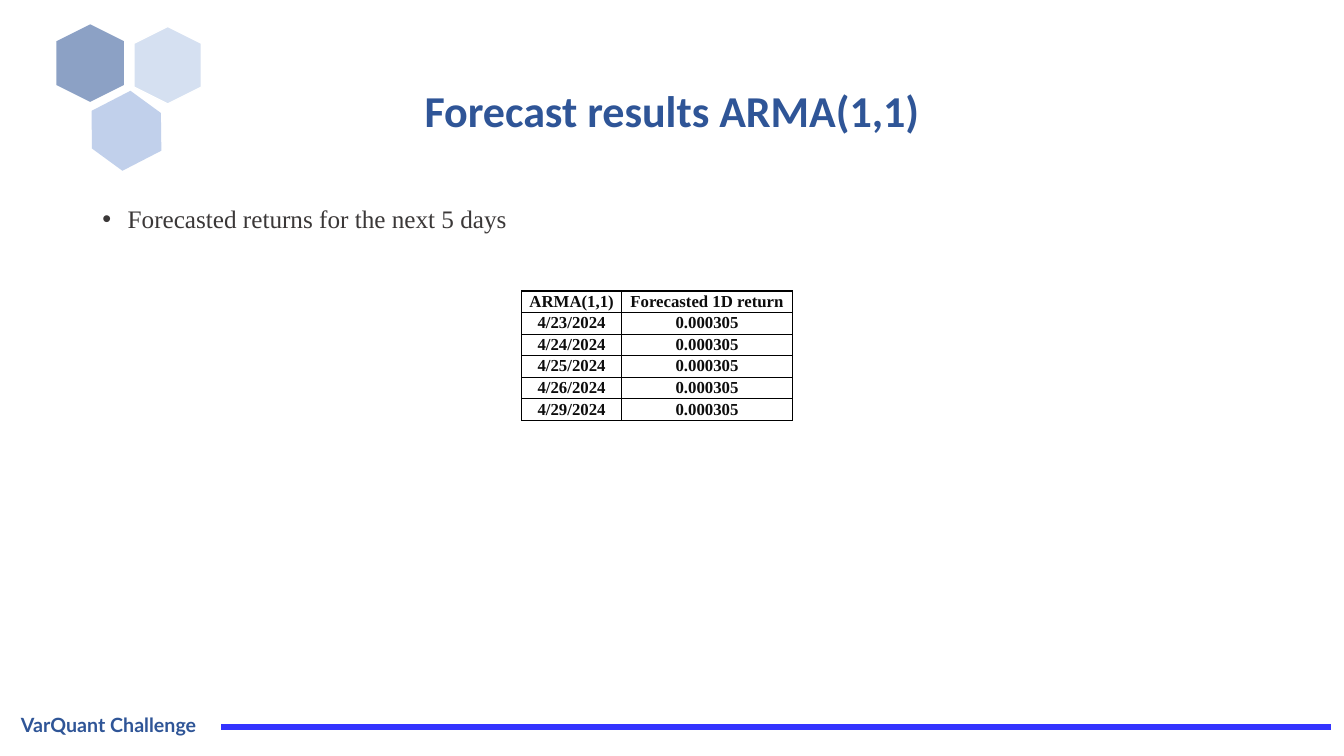
from dataclasses import dataclass

from lxml import etree
from pptx import Presentation
from pptx.dml.color import RGBColor
from pptx.enum.shapes import MSO_SHAPE
from pptx.enum.text import MSO_ANCHOR, MSO_AUTO_SIZE, PP_ALIGN
from pptx.oxml.ns import qn
from pptx.util import Pt

HEXAGON = MSO_SHAPE.HEXAGON
BAR = MSO_SHAPE.FLOWCHART_PROCESS
MIDDLE, TOP = MSO_ANCHOR.MIDDLE, MSO_ANCHOR.TOP
LEFT, CENTER = PP_ALIGN.LEFT, PP_ALIGN.CENTER
NO_AUTOFIT, GROW = MSO_AUTO_SIZE.NONE, MSO_AUTO_SIZE.SHAPE_TO_FIT_TEXT


@dataclass(frozen=True)
class Theme:
    navy: str = "2F5597"
    mid_blue: str = "8FAADC"
    pale_blue: str = "B4C7E7"
    bar_blue: str = "3333FF"
    body_gray: str = "3B3838"
    table_ink: str = "0D0D0D"
    border: str = "000000"
    white: str = "FFFFFF"
    title_font: str = "Calibri"
    body_font: str = "Times New Roman"
    label_font: str = "Lato"
    title_size: float = 31.5
    body_size: float = 18
    label_size: float = 14
    table_size: float = 12


def write_text(text_frame, text, *, font, size, color, bold=False,
               align=LEFT, line_spacing=1.0, before=0, after=0):
    """Put one formatted paragraph in a text frame and return it."""
    paragraph = text_frame.paragraphs[0]
    paragraph.alignment = align
    paragraph.line_spacing = line_spacing
    paragraph.space_before, paragraph.space_after = Pt(before), Pt(after)
    run = paragraph.add_run()
    run.text = text
    run.font.name, run.font.size, run.font.bold = font, Pt(size), bold
    run.font.color.rgb = RGBColor.from_string(color)
    return paragraph


class SlideBuilder:
    def __init__(self, slide, theme):
        self.slide = slide
        self.theme = theme

    def place(self, shape, left, top, width, height):
        shape.left, shape.top = Pt(left), Pt(top)
        shape.width, shape.height = Pt(width), Pt(height)

    def title(self, text, *box):
        shape = self.slide.shapes.title
        self.place(shape, *box)
        frame = shape.text_frame
        frame.vertical_anchor, frame.auto_size = MIDDLE, NO_AUTOFIT
        write_text(frame, text, font=self.theme.title_font, size=self.theme.title_size,
                   color=self.theme.navy, bold=True, align=CENTER, line_spacing=0.9)

    def bullet(self, text, *box):
        shape = self.slide.placeholders[1]
        self.place(shape, *box)
        frame = shape.text_frame
        frame.vertical_anchor, frame.auto_size = TOP, NO_AUTOFIT
        paragraph = write_text(frame, text, font=self.theme.body_font,
                               size=self.theme.body_size, color=self.theme.body_gray,
                               line_spacing=0.9, before=10)
        properties = paragraph._p.get_or_add_pPr()
        properties.set("marL", str(Pt(18)))
        properties.set("indent", str(-Pt(18)))
        etree.SubElement(properties, qn("a:buFont")).set("typeface", "Arial")
        etree.SubElement(properties, qn("a:buChar")).set("char", "•")

    def label(self, text, *box):
        shape = self.slide.shapes.add_textbox(*map(Pt, box))
        frame = shape.text_frame
        frame.word_wrap, frame.auto_size = False, GROW
        write_text(frame, text, font=self.theme.label_font, size=self.theme.label_size,
                   color=self.theme.navy, bold=True)

    def shape(self, kind, color, *box, parent=None, rotation=0, opacity=100, outline=None):
        shapes = (parent or self.slide).shapes
        shape = shapes.add_shape(kind, *map(Pt, box))
        shape.shadow.inherit = False
        shape.rotation = rotation
        shape.fill.solid()
        shape.fill.fore_color.rgb = RGBColor.from_string(color)
        if opacity < 100:
            fill_color = shape._element.spPr.find(f".//{qn('a:srgbClr')}")
            etree.SubElement(fill_color, qn("a:alpha")).set("val", str(opacity * 1000))
        if outline:
            shape.line.color.rgb = RGBColor.from_string(outline)
            shape.line.width = Pt(1)
        else:
            shape.line.fill.background()

    def hexagons(self, hexagons):
        group = self.slide.shapes.add_group_shape()
        for color, left, top, rotation, outline in hexagons:
            self.shape(HEXAGON, color, left, top, 55.4, 48.2, parent=group,
                       rotation=rotation, opacity=55, outline=outline)

    def table(self, rows, left, top, column_widths, row_height):
        table = self.slide.shapes.add_table(
            len(rows), len(column_widths), Pt(left), Pt(top),
            Pt(sum(column_widths)), Pt(row_height * len(rows))).table
        table.first_row = table.horz_banding = False
        for column, width in zip(table.columns, column_widths):
            column.width = Pt(width)
        for row, values in zip(table.rows, rows):
            row.height = Pt(row_height)
            for cell, value in zip(row.cells, values):
                self.cell(cell, value)

    def cell(self, cell, text):
        cell.margin_left = cell.margin_right = Pt(5.4)
        cell.margin_top = cell.margin_bottom = 0
        write_text(cell.text_frame, text, font=self.theme.body_font,
                   size=self.theme.table_size, color=self.theme.table_ink, bold=True,
                   align=CENTER, line_spacing=1.07, after=8)
        # Borders come before the fill in the cell properties
        properties = cell._tc.get_or_add_tcPr()
        for side in ("lnL", "lnR", "lnT", "lnB"):
            line = etree.SubElement(properties, qn(f"a:{side}"))
            line.set("w", str(Pt(1)))
            fill = etree.SubElement(line, qn("a:solidFill"))
            etree.SubElement(fill, qn("a:srgbClr")).set("val", self.theme.border)
        cell.fill.background()


def main():
    theme = Theme()
    presentation = Presentation()
    presentation.slide_width, presentation.slide_height = Pt(960), Pt(540)
    slide = presentation.slides.add_slide(presentation.slide_layouts[1])
    builder = SlideBuilder(slide, theme)

    # Footer bar and hexagon ornament
    builder.shape(BAR, theme.bar_blue, 157.7, 517.5, 792.7, 3.8)
    builder.hexagons([
        (theme.navy, 36.7, 21, 90, None),
        (theme.mid_blue, 62.6, 69.3, 152.7, None),
        (theme.pale_blue, 92.1, 22.5, 90, theme.white),
    ])
    builder.label("VarQuant Challenge", 7.9, 506, 147.6, 24.5)

    # Title and list
    builder.title("Forecast results ARMA(1,1)", 66, 28.75, 828, 104.4)
    builder.bullet("Forecasted returns for the next 5 days", 66, 143.75, 828, 342.6)

    # Forecast table
    forecast = "0.000305"
    days = (23, 24, 25, 26, 29)
    rows = [("ARMA(1,1)", "Forecasted 1D return")]
    rows += [(f"4/{day}/2024", forecast) for day in days]
    builder.table(rows, 372.7, 207.8, (71.3, 122.2), 15)

    presentation.save("out.pptx")


if __name__ == "__main__":
    main()
